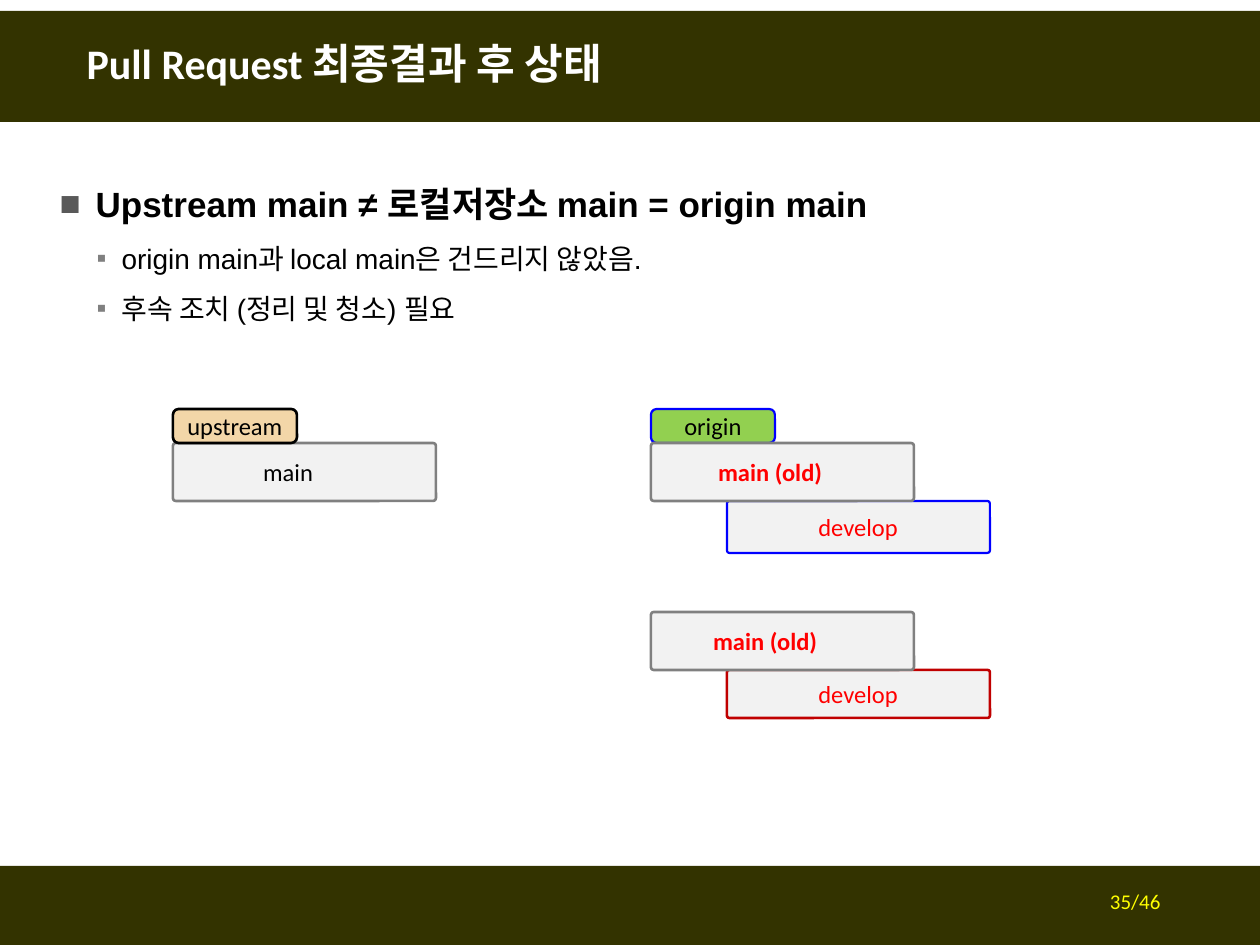
from dataclasses import dataclass

from lxml import etree
from pptx import Presentation
from pptx.dml.color import RGBColor
from pptx.enum.shapes import MSO_SHAPE
from pptx.enum.text import MSO_ANCHOR, MSO_AUTO_SIZE, PP_ALIGN
from pptx.oxml.ns import qn
from pptx.util import Emu, Pt

RECT = MSO_SHAPE.RECTANGLE
ROUND = MSO_SHAPE.ROUNDED_RECTANGLE
MIDDLE, TOP = MSO_ANCHOR.MIDDLE, MSO_ANCHOR.TOP
LEFT, CENTER, RIGHT = PP_ALIGN.LEFT, PP_ALIGN.CENTER, PP_ALIGN.RIGHT
NO_FIT = MSO_AUTO_SIZE.NONE
EMU_PER_PX = 914400 / 126
SLIDE_W, SLIDE_H = 1260, 945
BRANCH_W, MAIN_H = 263, 58
TAG_W, TAG_H = 124, 34
DEVELOP_INDENT = 76


@dataclass(frozen=True)
class Theme:
    band: str = "333300"
    white: str = "FFFFFF"
    black: str = "000000"
    red: str = "FF0000"
    blue: str = "0000FF"
    dark_red: str = "C00000"
    yellow: str = "FFFF00"
    gray: str = "808080"
    dark_gray: str = "595959"
    branch: str = "F2F2F2"
    upstream: str = "F3D6A8"
    origin: str = "92D050"
    head_font: str = "Calibri"
    body_font: str = "Arial"
    title: int = 24
    heading: int = 20
    item: int = 16
    label: int = 14
    page: int = 12


T = Theme()


def px(n):
    return Emu(round(n * EMU_PER_PX))


def rgb(value):
    return RGBColor.from_string(value)


def place(sp, box):
    sp.left, sp.top, sp.width, sp.height = map(px, box)


def write(p, text, size=T.label, color=T.black, font=T.head_font, bold=False, align=CENTER):
    p.alignment = align
    r = p.add_run()
    r.text = text
    f = r.font
    f.name, f.size, f.bold = font, Pt(size), bold
    f.color.rgb = rgb(color)


def set_frame(tf, anchor=MIDDLE):
    tf.word_wrap = True
    tf.auto_size = NO_FIT
    tf.vertical_anchor = anchor


def add_box(s, kind, box, fill, line=None, width=1.5):
    sp = s.shapes.add_shape(kind, *map(px, box))
    sp.shadow.inherit = False
    sp.fill.solid()
    sp.fill.fore_color.rgb = rgb(fill)
    if line:
        sp.line.color.rgb = rgb(line)
        sp.line.width = Pt(width)
    else:
        sp.line.fill.background()
    return sp


def add_band(s, box):
    el = add_box(s, RECT, box, T.band).element
    el.getparent().insert(2, el)


def add_branch(s, box, text, line, width=1.5, shift=0, **fmt):
    sp = add_box(s, ROUND, box, T.branch, line, width)
    sp.adjustments[0] = 0.05
    tf = sp.text_frame
    set_frame(tf)
    tf.margin_right = px(13 + 2 * shift)
    write(tf.paragraphs[0], text, **fmt)


def add_tag(s, x, y, text, fill, line, width):
    sp = add_box(s, ROUND, (x, y, TAG_W, TAG_H), fill, line, width)
    tf = sp.text_frame
    set_frame(tf)
    tf.margin_left = tf.margin_right = tf.margin_top = tf.margin_bottom = 0
    write(tf.paragraphs[0], text)


def set_bullet(p, char, color, margin, hang):
    pPr = p._p.get_or_add_pPr()
    pPr.set("marL", str(px(margin)))
    pPr.set("indent", str(-px(hang)))
    clr = etree.SubElement(pPr, qn("a:buClr"))
    etree.SubElement(clr, qn("a:srgbClr")).set("val", color)
    etree.SubElement(pPr, qn("a:buFont")).set("typeface", T.body_font)
    etree.SubElement(pPr, qn("a:buChar")).set("char", char)


def add_header(s, box):
    x, y, w, h = box
    add_band(s, box)
    sp = s.shapes.title
    place(sp, (x + 74, y + 15, w - 123, h - 32))
    set_frame(sp.text_frame)
    p = sp.text_frame.paragraphs[0]
    p.line_spacing = 0.9
    write(p, "Pull Request 최종결과 후 상태", size=T.title, color=T.white, bold=True, align=LEFT)


def add_body(s, box):
    sp = s.placeholders[1]
    place(sp, box)
    tf = sp.text_frame
    set_frame(tf, TOP)
    lines = [
        ("Upstream main ≠ 로컬저장소 main = origin main", 0),
        ("origin main과 local main은 건드리지 않았음.", 1),
        ("후속 조치 (정리 및 청소) 필요", 1),
    ]
    styles = [
        (T.heading, True, "■", T.dark_gray, 36, 36),
        (T.item, False, "▪", T.gray, 62, 25),
    ]
    for i, (text, level) in enumerate(lines):
        size, bold, *bullet = styles[level]
        p = tf.add_paragraph() if i else tf.paragraphs[0]
        p.level = level
        p.line_spacing = 1.5
        p.space_before = p.space_after = Pt(0)
        set_bullet(p, *bullet)
        write(p, text, size=size, font=T.body_font, bold=bold, align=LEFT)


def add_upstream(s, x, y):
    add_branch(s, (x, y + TAG_H, BRANCH_W, MAIN_H), "main", T.gray, shift=16)
    add_tag(s, x, y, "upstream", T.upstream, T.black, 1.5)


def add_working_repo(s, x, y, develop_h, line, width, shift):
    develop_box = (x + DEVELOP_INDENT, y + MAIN_H, BRANCH_W, develop_h)
    add_branch(s, develop_box, "develop", line, width, color=T.red)
    add_branch(s, (x, y, BRANCH_W, MAIN_H), "main (old)", T.gray, shift=shift, color=T.red, bold=True)


def add_diagram(s, box):
    x, y, w, h = box
    right = x + 478
    add_upstream(s, x, y)
    add_tag(s, right, y, "origin", T.origin, T.blue, 1.25)
    add_working_repo(s, right, y + TAG_H, 52, T.blue, 1.25, 12)
    add_working_repo(s, right, y + 203, 48, T.dark_red, 1.5, 17)


def add_footer(s, box):
    x, y, w, h = box
    add_band(s, box)
    tf = s.shapes.add_textbox(*map(px, (x + w - 370, y + 10, 283, 50))).text_frame
    set_frame(tf)
    write(tf.paragraphs[0], "35/46", size=T.page, color=T.yellow, align=RIGHT)


def main():
    prs = Presentation()
    prs.slide_width, prs.slide_height = px(SLIDE_W), px(SLIDE_H)
    s = prs.slides.add_slide(prs.slide_layouts[1])
    add_header(s, (0, 11, SLIDE_W, 111))
    add_body(s, (47, 155, 1213, 535))
    add_diagram(s, (173, 409, 817, 309))
    add_footer(s, (0, 866, SLIDE_W, 79))
    prs.save("out.pptx")


if __name__ == "__main__":
    main()
